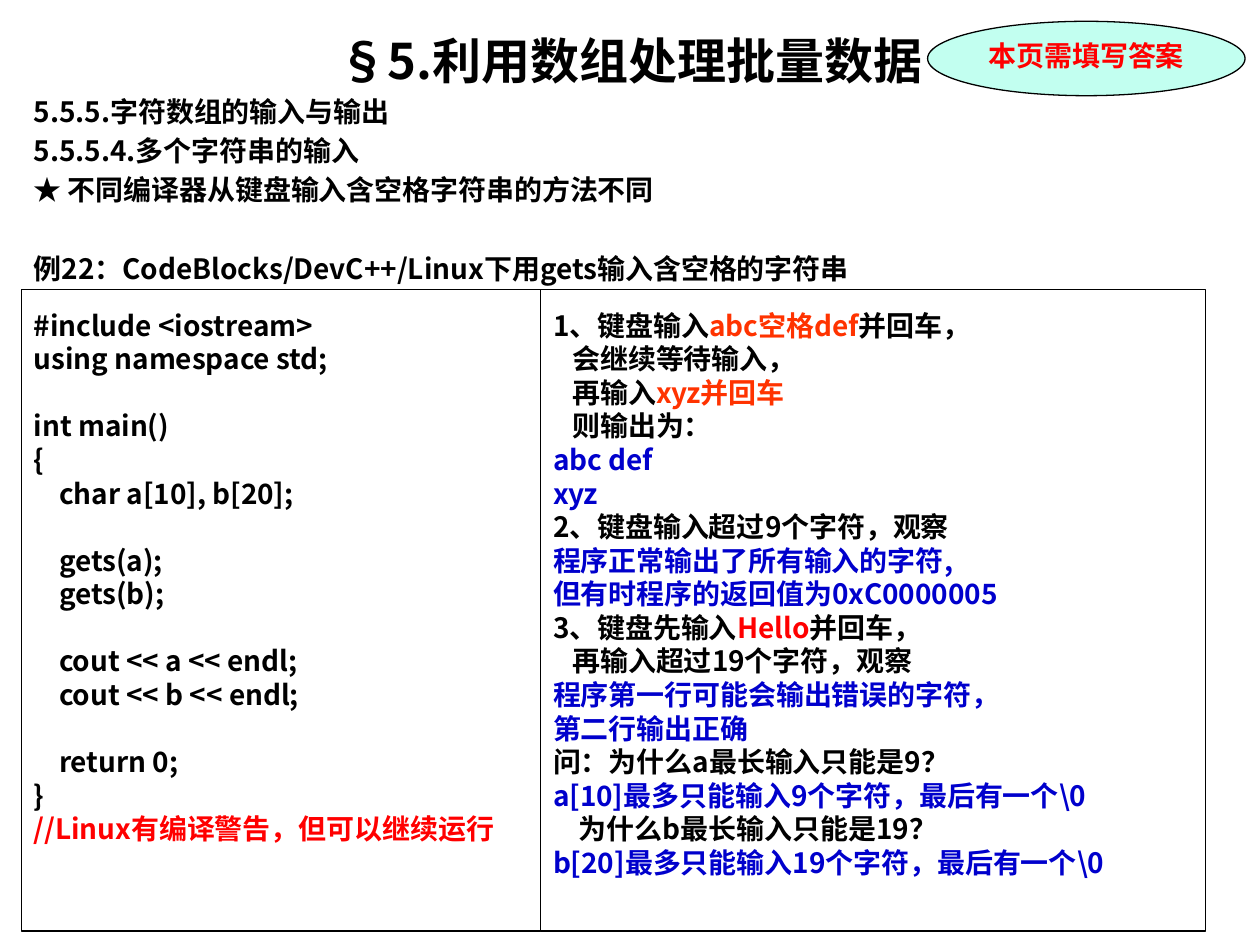
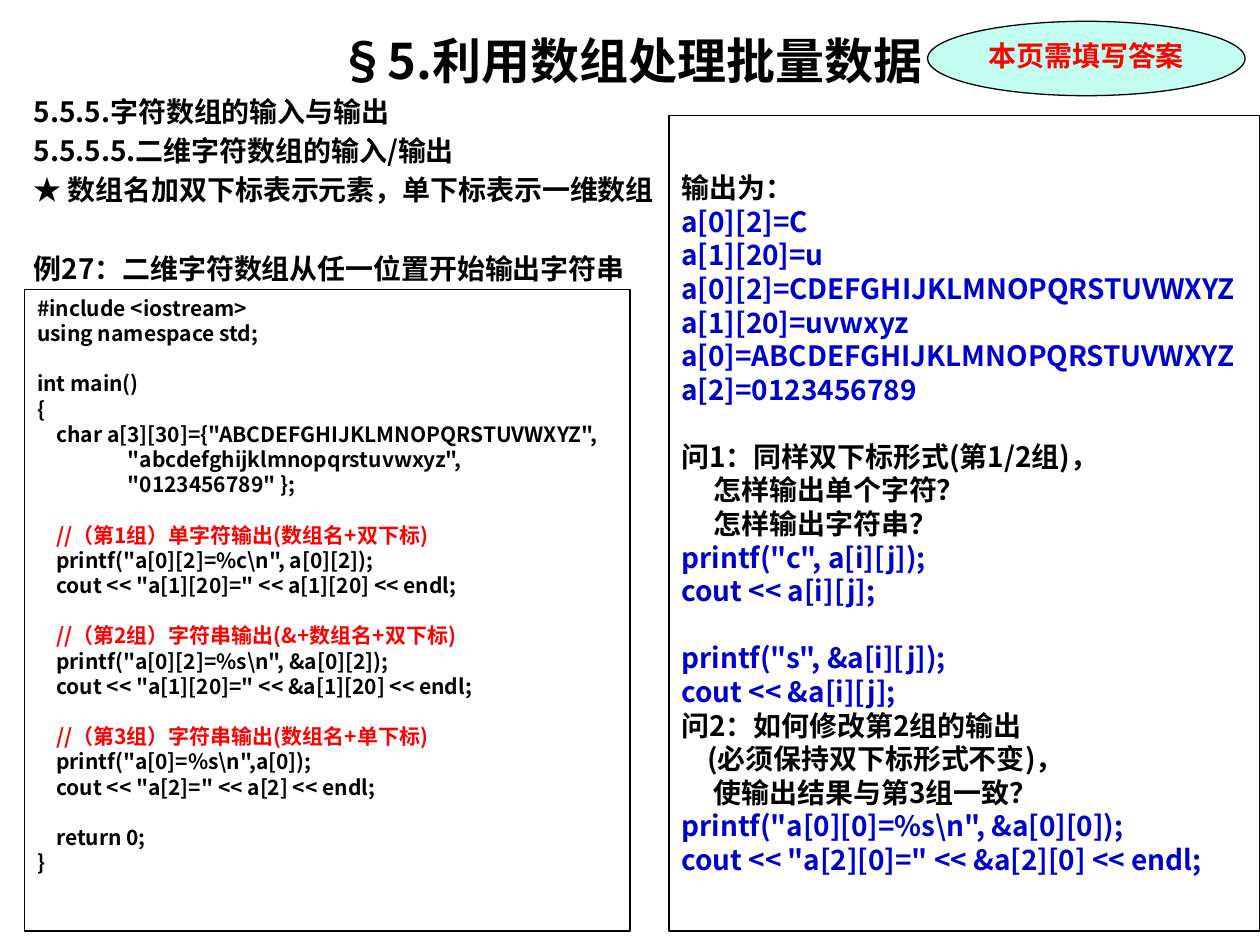
from collections import namedtuple

from lxml import etree
from pptx import Presentation
from pptx import util as u
from pptx.dml.color import RGBColor
from pptx.enum import shapes, text
from pptx.oxml import ns

BLACK = RGBColor(0x00, 0x00, 0x00)
RED = RGBColor(0xFF, 0x00, 0x00)
ORANGE = RGBColor(0xFF, 0x33, 0x00)
BLUE = RGBColor(0x00, 0x00, 0xCC)
MINT = RGBColor(0xC2, 0xFF, 0xF0)

# One displayed line: (text, colour) runs and the left indent in steps
Line = namedtuple("Line", "runs indent")


def line(content, colour=BLACK, indent=0):
    return Line([(content, colour)], indent)


def mixed(*runs, indent=0):
    return Line(runs, indent)


def coloured(colour, *contents):
    return [line(content, colour) for content in contents]


class Deck:
    FONT = "Noto Sans CJK SC"
    TITLE_SIZE, BODY_SIZE, CODE_SIZE = 28, 16, 12
    LINE_FACTOR = 1.2
    INDENT_STEP = 0.13
    INSET_X, INSET_Y = 0.25, 0.13
    CHAPTER = "§5.利用数组处理批量数据"
    SECTION = "5.5.5.字符数组的输入与输出"
    NOTICE = "本页需填写答案"

    def __init__(self):
        self.presentation = Presentation()
        self.presentation.slide_width = u.Cm(25.4)
        self.presentation.slide_height = u.Cm(19.05)
        self.slide = None

    def pitch(self, size):
        return round(size * self.LINE_FACTOR, 2)

    def format_frame(self, frame, **changes):
        values = {
            "word_wrap": True,
            "vertical_anchor": text.MSO_ANCHOR.TOP,
            "margin_left": u.Cm(self.INSET_X),
            "margin_right": u.Cm(self.INSET_X),
            "margin_top": u.Cm(self.INSET_Y),
            "margin_bottom": u.Cm(self.INSET_Y),
        }
        for name, value in {**values, **changes}.items():
            setattr(frame, name, value)

    def fill_paragraph(self, paragraph, content, size, gap=0, font=FONT,
                       alignment=text.PP_ALIGN.LEFT):
        """Fill one paragraph with the runs of a line."""
        formats = {
            "alignment": alignment,
            "line_spacing": u.Pt(self.pitch(size)),
            "space_before": u.Pt(gap),
            "space_after": u.Pt(0),
        }
        for name, value in formats.items():
            setattr(paragraph, name, value)
        if content.indent:
            properties = paragraph._p.get_or_add_pPr()
            properties.set("marL", str(u.Cm(content.indent * self.INDENT_STEP)))
            properties.set("indent", "0")
        for words, colour in content.runs:
            run = paragraph.add_run()
            run.text = words
            for name, value in {"size": u.Pt(size), "bold": True, "name": font}.items():
                setattr(run.font, name, value)
            run.font.color.rgb = colour
            east_asian = etree.SubElement(run._r.get_or_add_rPr(), ns.qn("a:ea"))
            east_asian.set("typeface", self.FONT)

    def fill_blocks(self, frame, blocks, size):
        """Fill a frame with groups of lines, one line of space between them."""
        paragraph = frame.paragraphs[0]
        for block_index, block in enumerate(blocks):
            for line_index, content in enumerate(block):
                if block_index or line_index:
                    paragraph = frame.add_paragraph()
                new_block = block_index and not line_index
                gap = self.pitch(size) if new_block else 0
                self.fill_paragraph(paragraph, content, size, gap)

    def outlined_shape(self, kind, left, top, width, height, fill=None):
        shape = self.slide.shapes.add_shape(
            kind, u.Cm(left), u.Cm(top), u.Cm(width), u.Cm(height))
        shape.shadow.inherit = False
        if fill is None:
            shape.fill.background()
        else:
            shape.fill.solid()
            shape.fill.fore_color.rgb = fill
        shape.line.color.rgb = BLACK
        shape.line.width = u.Pt(0.75)
        return shape

    def panel(self, left, top, width, blocks, size=BODY_SIZE, spare_lines=0):
        """Framed text; spare lines stay free at the bottom."""
        bottom = 18.77
        shape = self.outlined_shape(
            shapes.MSO_SHAPE.RECTANGLE, left, top, width, bottom - top)
        spare = u.Pt(spare_lines * self.pitch(size))
        self.format_frame(shape.text_frame, vertical_anchor=text.MSO_ANCHOR.MIDDLE,
                          margin_bottom=u.Cm(self.INSET_Y) + spare)
        self.fill_blocks(shape.text_frame, blocks, size)

    def heading(self, topic, point, example):
        box = self.slide.shapes.add_textbox(
            u.Cm(0.43), u.Cm(0.48), u.Cm(24.56), u.Cm(18.2))
        self.format_frame(box.text_frame)
        self.fill_paragraph(box.text_frame.paragraphs[0], line(self.CHAPTER),
                            self.TITLE_SIZE, alignment=text.PP_ALIGN.CENTER)
        gap = 0.2 * self.BODY_SIZE
        for content in (self.SECTION, topic, point, example):
            before = 2 * gap + self.pitch(self.BODY_SIZE) if content == example else gap
            self.fill_paragraph(box.text_frame.add_paragraph(), line(content),
                                self.BODY_SIZE, before)

    def notice(self):
        shape = self.outlined_shape(shapes.MSO_SHAPE.OVAL, 18.7, 0.43, 6.4, 1.5, MINT)
        self.format_frame(shape.text_frame, word_wrap=False)
        self.fill_paragraph(shape.text_frame.paragraphs[0], line(self.NOTICE, RED),
                            self.BODY_SIZE, font="Times New Roman",
                            alignment=text.PP_ALIGN.CENTER)

    def add_slide(self, topic, point, example):
        self.slide = self.presentation.slides.add_slide(self.presentation.slide_layouts[6])
        self.heading(topic, point, example)


PROGRAM_START = coloured(BLACK, "#include <iostream>", "using namespace std;")
PROGRAM_END = coloured(BLACK, "    return 0;", "}")


def gets_slide(deck):
    deck.add_slide("5.5.5.4.多个字符串的输入",
                   "★ 不同编译器从键盘输入含空格字符串的方法不同",
                   "例22：CodeBlocks/DevC++/Linux下用gets输入含空格的字符串")
    # Program
    program = [
        PROGRAM_START,
        coloured(BLACK, "int main()", "{", "    char a[10], b[20];"),
        coloured(BLACK, "    gets(a);", "    gets(b);"),
        coloured(BLACK, "    cout << a << endl;", "    cout << b << endl;"),
        PROGRAM_END + [line("//Linux有编译警告，但可以继续运行", RED)],
    ]
    deck.panel(0.43, 5.84, 10.47, program, spare_lines=2)
    # Experiments and answers
    experiments = [
        mixed(("1、键盘输入", BLACK), ("abc空格def", ORANGE), ("并回车，", BLACK)),
        line("会继续等待输入，", indent=3),
        mixed(("再输入", BLACK), ("xyz并回车", ORANGE), indent=3),
        line("则输出为：", indent=3),
        *coloured(BLUE, "abc def", "xyz"),
        line("2、键盘输入超过9个字符，观察"),
        *coloured(BLUE, "程序正常输出了所有输入的字符,",
                  "但有时程序的返回值为0xC0000005"),
        mixed(("3、键盘先输入", BLACK), ("Hello", RED), ("并回车，", BLACK)),
        line("再输入超过19个字符，观察", indent=3),
        *coloured(BLUE, "程序第一行可能会输出错误的字符，", "第二行输出正确"),
        line("问：为什么a最长输入只能是9？"),
        line("a[10]最多只能输入9个字符，最后有一个\\0", BLUE),
        line("为什么b最长输入只能是19？", indent=4),
        line("b[20]最多只能输入19个字符，最后有一个\\0", BLUE),
    ]
    deck.panel(10.9, 5.84, 13.41, [experiments], spare_lines=1)
    deck.notice()


def two_dimensional_slide(deck):
    deck.add_slide("5.5.5.5.二维字符数组的输入/输出",
                   "★ 数组名加双下标表示元素，单下标表示一维数组",
                   "例27：二维字符数组从任一位置开始输出字符串")
    # Program
    groups = [
        ("    //（第1组）单字符输出(数组名+双下标)",
         '    printf("a[0][2]=%c\\n", a[0][2]);',
         '    cout << "a[1][20]=" << a[1][20] << endl;'),
        ("    //（第2组）字符串输出(&+数组名+双下标)",
         '    printf("a[0][2]=%s\\n", &a[0][2]);',
         '    cout << "a[1][20]=" << &a[1][20] << endl;'),
        ("    //（第3组）字符串输出(数组名+单下标)",
         '    printf("a[0]=%s\\n",a[0]);',
         '    cout << "a[2]=" << a[2] << endl;'),
    ]
    program = [
        PROGRAM_START,
        coloured(BLACK, "int main()", "{",
                 '    char a[3][30]={"ABCDEFGHIJKLMNOPQRSTUVWXYZ",',
                 '                   "abcdefghijklmnopqrstuvwxyz",',
                 '                   "0123456789" };'),
        *([line(comment, RED)] + coloured(BLACK, *code) for comment, *code in groups),
        PROGRAM_END,
    ]
    deck.panel(0.5, 5.84, 12.2, program, size=deck.CODE_SIZE, spare_lines=2)
    # Output, questions and answers
    answers = [
        [line("输出为："),
         *coloured(BLUE, "a[0][2]=C", "a[1][20]=u",
                   "a[0][2]=CDEFGHIJKLMNOPQRSTUVWXYZ", "a[1][20]=uvwxyz",
                   "a[0]=ABCDEFGHIJKLMNOPQRSTUVWXYZ", "a[2]=0123456789")],
        [line("问1：同样双下标形式(第1/2组)，"),
         line("怎样输出单个字符？", indent=5),
         line("怎样输出字符串？", indent=5),
         *coloured(BLUE, 'printf("c", a[i][j]);', "cout << a[i][j];")],
        [*coloured(BLUE, 'printf("s", &a[i][j]);', "cout << &a[i][j];"),
         line("问2：如何修改第2组的输出"),
         line("(必须保持双下标形式不变)，", indent=4),
         line("使输出结果与第3组一致？", indent=5),
         *coloured(BLUE, 'printf("a[0][0]=%s\\n", &a[0][0]);',
                   'cout << "a[2][0]=" << &a[2][0] << endl;')],
    ]
    deck.panel(13.49, 2.33, 11.91, answers)
    deck.notice()


def main():
    deck = Deck()
    gets_slide(deck)
    two_dimensional_slide(deck)
    deck.presentation.save("out.pptx")


if __name__ == "__main__":
    main()
